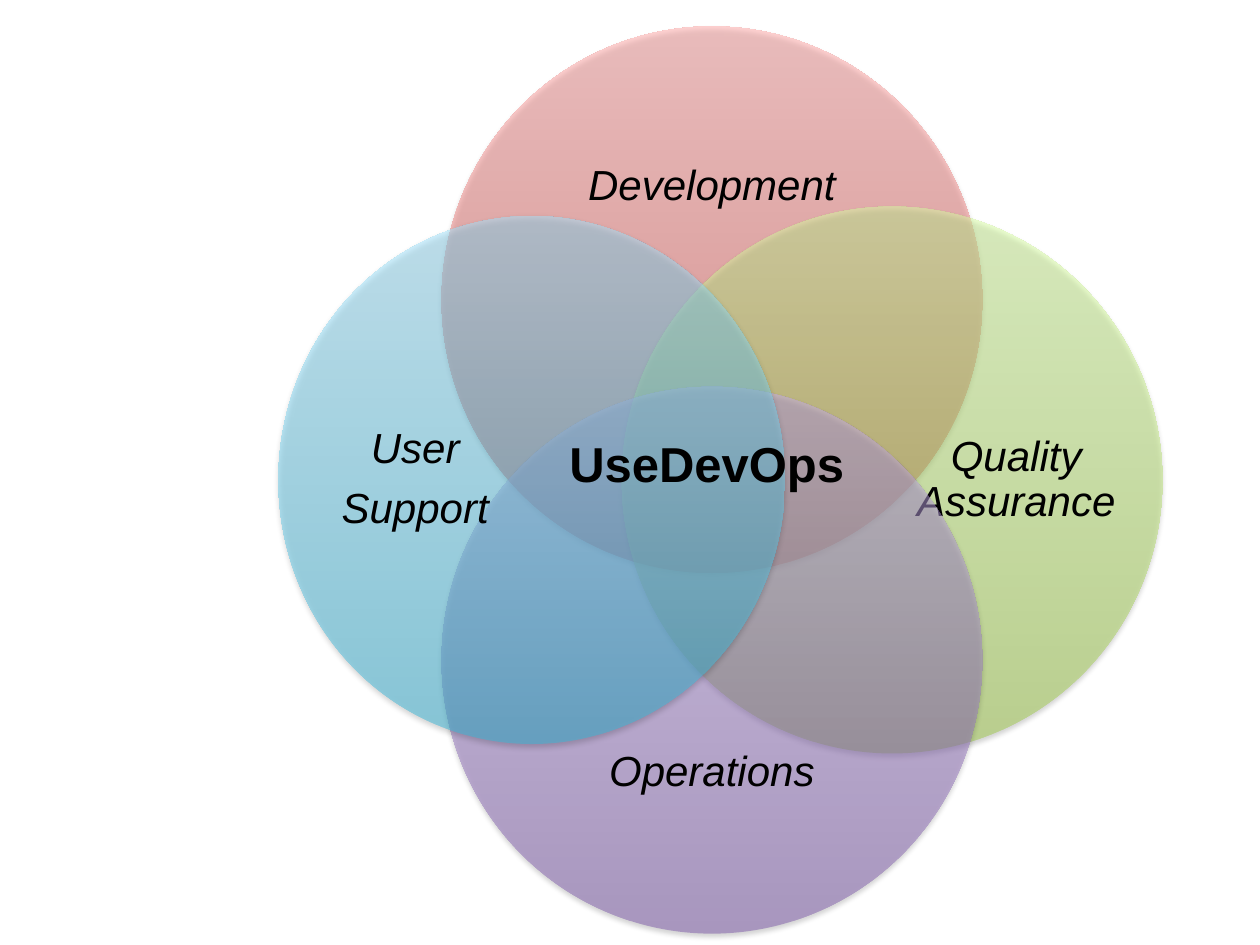
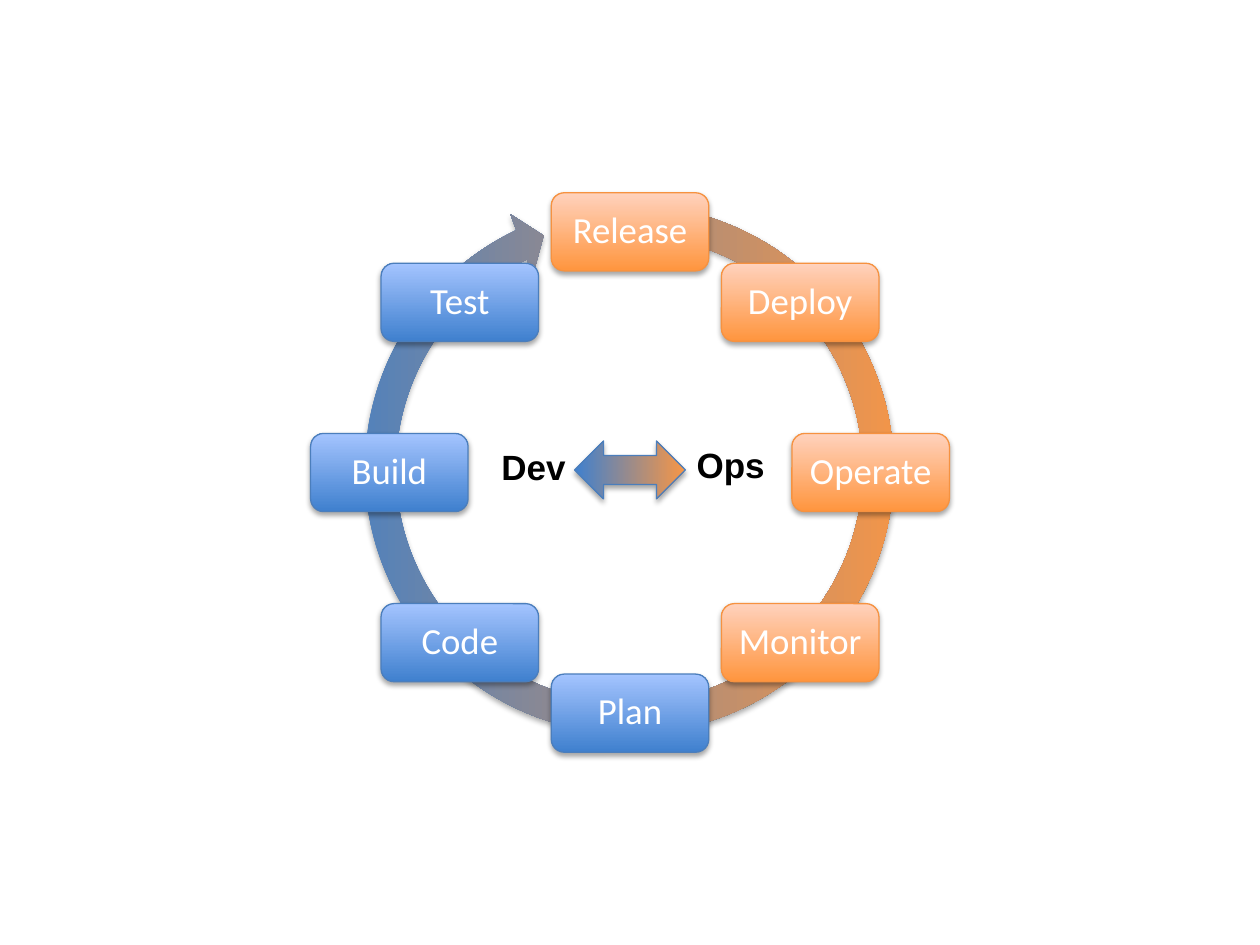
from math import cos, radians, sin

from lxml.etree import SubElement
from pptx import Presentation
from pptx.dml.color import RGBColor as Rgb
from pptx.enum.shapes import MSO_SHAPE as Kind
from pptx.enum.text import MSO_ANCHOR as Anchor, MSO_AUTO_SIZE as Fit, PP_ALIGN as Align
from pptx.oxml.ns import qn
from pptx.util import Inches, Pt

COLS, ROWS = 100, 75
HUES = {
    "black": "000000", "white": "FFFFFF",
    "red": "D1403C", "pink": "FFA6A5",
    "green": "A0CA4A", "lime": "DAFFA5",
    "purple": "7F5BAB", "lilac": "C8B0ED",
    "teal": "39B7D8", "sky": "A7E6FF",
    "blue": "3F80CE", "pale": "A4C4FF", "navy": "4B7EBC", "steel": "4F81BD",
    "orange": "FF953E", "peach": "FFD2BD", "rust": "F69240", "amber": "F79646",
}
STYLES = {
    "label": {"name": "Arial", "size": Pt(24), "italic": True, "color": "black"},
    "core": {"name": "Arial", "size": Pt(28), "bold": True, "color": "black"},
    "step": {"name": "Calibri", "size": Pt(21), "color": "white"},
    "side": {"name": "Arial", "size": Pt(20), "bold": True, "color": "black"},
}


class Deck:
    def __init__(self):
        self.show = Presentation()
        self.show.slide_width, self.show.slide_height = Inches(10), Inches(7.5)
        self.slide = None

    def page(self):
        self.slide = self.show.slides.add_slide(self.show.slide_layouts[6])

    def frame(self, left, top, width, height):
        col, row = self.show.slide_width / COLS, self.show.slide_height / ROWS
        return [round(n) for n in (left * col, top * row, width * col, height * row)]

    def shape(self, kind, box, hues, angle=90, alpha=None, line=None):
        shape = self.slide.shapes.add_shape(kind, *self.frame(*box))
        shape.fill.gradient()
        shape.fill.gradient_angle = angle
        for stop, hue in zip(shape.fill.gradient_stops, hues):
            stop.color.rgb = Rgb.from_string(HUES[hue])
        if alpha:
            for tone in shape._element.spPr.iter(qn("a:srgbClr")):
                SubElement(tone, qn("a:alpha"), val=str(alpha * 1000))
        if line:
            shape.line.color.rgb = Rgb.from_string(HUES[line])
            shape.line.width = Pt(0.75)
        else:
            shape.line.fill.background()
        self.shade(shape)
        return shape

    def shade(self, shape):
        shape.shadow.inherit = False
        glow = shape._element.spPr.find(qn("a:effectLst"))
        cast = SubElement(glow, qn("a:outerShdw"), blurRad=str(Pt(3.1)),
                          dist=str(Pt(1.8)), dir="5400000", rotWithShape="0")
        tone = SubElement(cast, qn("a:srgbClr"), val=HUES["black"])
        SubElement(tone, qn("a:alpha"), val="35000")

    def label(self, text, box, style, wrap=True, inset=None):
        frame = self.slide.shapes.add_textbox(*self.frame(*box)).text_frame
        frame.word_wrap = wrap
        look = STYLES[style]
        form = {}
        if inset is None:
            frame.auto_size = Fit.SHAPE_TO_FIT_TEXT
        else:
            frame.vertical_anchor = Anchor.MIDDLE
            for side in ("left", "top", "right", "bottom"):
                setattr(frame, "margin_" + side, Inches(inset))
            form = {"alignment": Align.CENTER, "line_spacing": 0.9,
                    "space_after": round(look["size"] * 0.35)}
        frame.text = text
        for para in frame.paragraphs:
            for key, value in form.items():
                setattr(para, key, value)
            font = para.runs[0].font
            for key, value in look.items():
                if key == "color":
                    font.color.rgb = Rgb.from_string(HUES[value])
                else:
                    setattr(font, key, value)

    def petal(self, text, spot, size, box, hues):
        (x, y), (width, height) = spot, size
        self.shape(Kind.OVAL, (x - width / 2, y - height / 2, width, height), hues, alpha=50)
        self.label(text, box, "label", inset=0)

    def step(self, text, x, y, hues, line):
        width, height, edge = 12.5, 6.2, 0.3
        left, top = x - width / 2, y - height / 2
        self.shape(Kind.ROUNDED_RECTANGLE, (left, top, width, height), hues, line=line)
        self.label(text, (left + edge, top + edge, width - 2 * edge, height - 2 * edge),
                   "step", inset=0.09)


deck = Deck()

deck.page()
midx, midy, reach = 56.5, 38.1, 14.3
big, small = (42.9, 43.4), (40.2, 41.9)
petals = [
    ("Development", 0, -1, big, (40, 7.9, 33, 13.8), ("red", "pink")),
    ("Quality Assurance", 1, 0, big, (72.4, 21.4, 16.5, 33.4), ("green", "lime")),
    ("Operations", 0, 1, big, (40, 54.4, 33, 13.8), ("purple", "lilac")),
    ("User\nSupport", -1, 0, small, (25.2, 21.9, 15.5, 32.3), ("teal", "sky")),
]
for text, across, down, size, box, hues in petals:
    deck.petal(text, (midx + across * reach, midy + down * reach), size, box, hues)
deck.label("UseDevOps", (44.2, 33.9, 27.9, 5.7), "core")

deck.page()
ring = deck.shape(Kind.CIRCULAR_ARROW, (27.6, 14.9, 44.7, 44.7), ("steel", "amber"), angle=0)
for index, value in enumerate((0.055, 3.307, 146.625, 168.667, 0.058)):
    ring.adjustments[index] = value
steps = ["Release", "Deploy", "Operate", "Monitor", "Plan", "Code", "Build", "Test"]
for index, text in enumerate(steps):
    turn = radians(index * 360 / len(steps) - 90)
    hues, line = ((("orange", "peach"), "rust") if index < len(steps) / 2
                  else (("blue", "pale"), "navy"))
    deck.step(text, COLS / 2 + 19.1 * cos(turn), ROWS / 2 + 19.1 * sin(turn), hues, line)
deck.label("Dev", (38.8, 34.9, 7.2, 4.4), "side", wrap=False)
deck.label("Ops", (54.3, 34.7, 7.5, 4.4), "side", wrap=False)
deck.shape(Kind.LEFT_RIGHT_ARROW, (45.6, 35, 8.8, 4.6), ("blue", "amber"), angle=0, line="navy")

deck.show.save("out.pptx")
